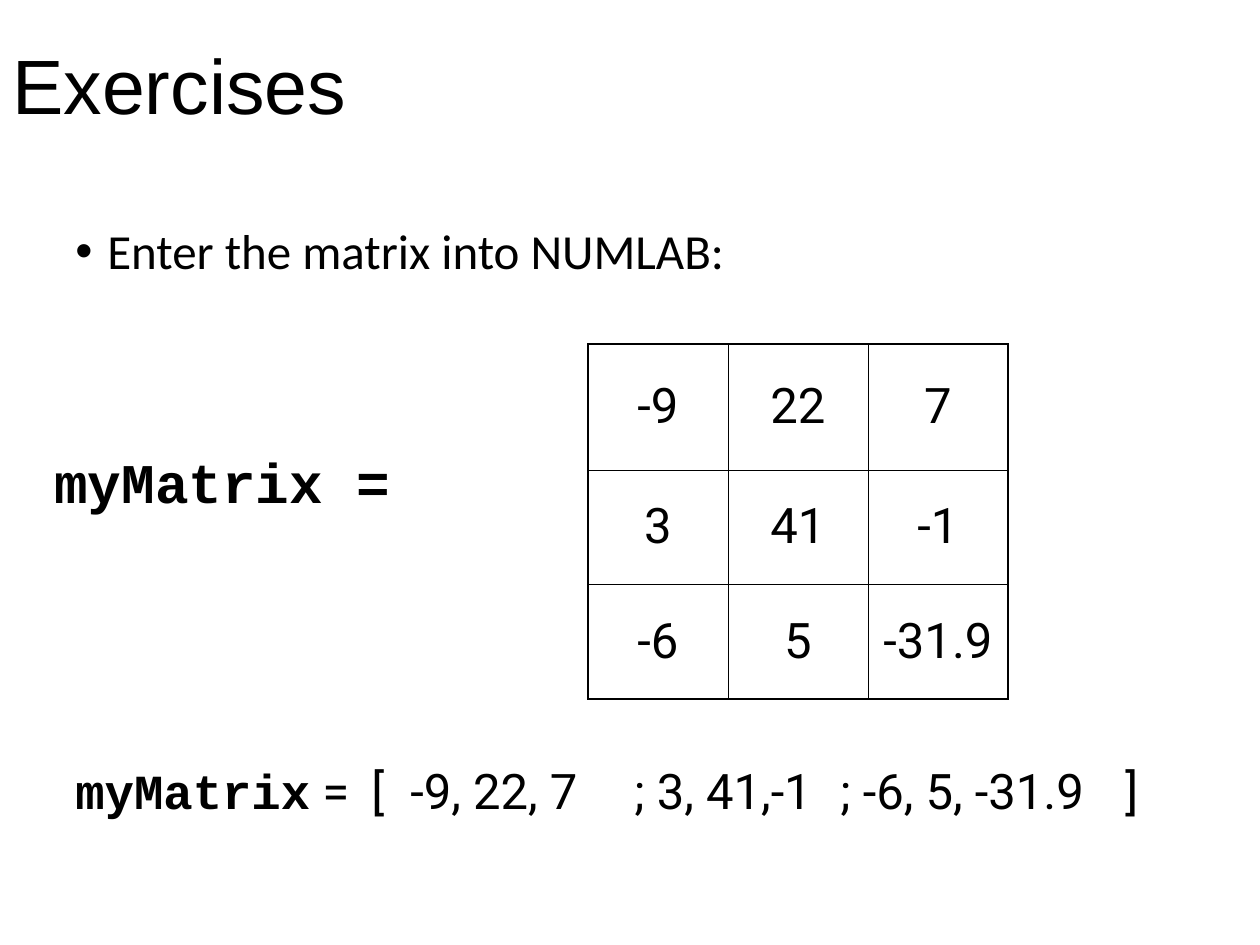
import pptx
import pptx.dml.color
import pptx.enum.text
import pptx.oxml
import pptx.oxml.ns
import pptx.util

PX = 914400 // 126
COLORS = {"ink": "000000"}
THICK, THIN = 1.08, 0.45

TITLE, BODY, CODE, NUMBERS = "Arial", "Calibri", "Courier New", "Roboto"
MIDDLE = pptx.enum.text.MSO_ANCHOR.MIDDLE
TOP = pptx.enum.text.MSO_ANCHOR.TOP

# (left, top, width, height), wrap, anchor, line spacing, [(text, font, size, bold)]
HEADING = ((0, 11, 1250, 158), True, MIDDLE, 0.9, [("Exercises", TITLE, 44, False)])
TASK = ((63, 221, 1134, 116), True, TOP, 0.9,
        [("Enter the matrix into NUMLAB:", BODY, 28, False)])
LABEL = ((42, 441, 546, 81), True, TOP, 1, [("myMatrix =", CODE, 32, True)])
ASSIGNMENT = ((63, 754, 547, 72), True, TOP, 1,
              [("myMatrix", CODE, 28, True), (" =\t[\t-9, 22, 7", NUMBERS, 28, False)])
ASSIGNMENT_TABS = [296, 335]
# left, width, text
REMAINING_ROWS = [(622, 218, "; 3, 41,-1"), (828, 287, "; -6, 5, -31.9"), (1113, 42, "]")]

MATRIX = [["-9", "22", "7"], ["3", "41", "-1"], ["-6", "5", "-31.9"]]
MATRIX_LEFT, MATRIX_TOP = 588, 344
COLUMN_WIDTH = 140
ROW_HEIGHTS = [126, 114, 115]


def px(length):
    return pptx.util.Emu(length * PX)


def style(span, font, size, bold=False):
    span.font.name = font
    span.font.size = pptx.util.Pt(size)
    span.font.bold = bold
    span.font.color.rgb = pptx.dml.color.RGBColor.from_string(COLORS["ink"])


def add_text(page, place, wrap, anchor, spacing, spans):
    box = page.shapes.add_textbox(*map(px, place))
    box.text_frame.word_wrap = wrap
    box.text_frame.vertical_anchor = anchor
    para = box.text_frame.paragraphs[0]
    para.line_spacing = spacing
    for text, font, size, bold in spans:
        span = para.add_run()
        span.text = text
        style(span, font, size, bold)
    return para


def add_child(parent, tag, **attributes):
    child = pptx.oxml.parse_xml(f"<a:{tag} {pptx.oxml.ns.nsdecls('a')}/>")
    for name, value in attributes.items():
        child.set(name, str(value))
    parent.append(child)
    return child


def add_bullet(para, indent):
    properties = para._p.get_or_add_pPr()
    properties.set("marL", str(px(indent)))
    properties.set("indent", str(-px(indent)))
    add_child(properties, "buFont", typeface="Arial")
    add_child(properties, "buChar", char="•")


def add_tabs(para, stops):
    tabs = add_child(para._p.get_or_add_pPr(), "tabLst")
    for stop in stops:
        add_child(tabs, "tab", pos=px(stop), algn="l")


def set_borders(cell, widths):
    """Draw the cell's sides; this goes before the fill, as the schema orders them."""
    properties = cell._tc.get_or_add_tcPr()
    for side, width in widths.items():
        line = add_child(properties, side, w=pptx.util.Pt(width))
        add_child(add_child(line, "solidFill"), "srgbClr", val=COLORS["ink"])


def add_matrix(page):
    rows, columns = len(MATRIX), len(MATRIX[0])
    frame = page.shapes.add_table(rows, columns, px(MATRIX_LEFT), px(MATRIX_TOP),
                                  px(COLUMN_WIDTH * columns), px(sum(ROW_HEIGHTS)))
    table = frame.table
    table.first_row = table.horz_banding = False
    for column in table.columns:
        column.width = px(COLUMN_WIDTH)
    for r, values in enumerate(MATRIX):
        table.rows[r].height = px(ROW_HEIGHTS[r])
        for c, value in enumerate(values):
            cell = table.cell(r, c)
            cell.vertical_anchor = MIDDLE
            set_borders(cell, {
                "lnL": THICK if c == 0 else THIN,
                "lnR": THICK if c == columns - 1 else THIN,
                "lnT": THICK if r == 0 else THIN,
                "lnB": THICK if r == rows - 1 else THIN,
            })
            cell.fill.background()
            para = cell.text_frame.paragraphs[0]
            para.text = value
            para.alignment = pptx.enum.text.PP_ALIGN.CENTER
            style(para.runs[0], NUMBERS, 28)


def main():
    deck = pptx.Presentation()
    deck.slide_width, deck.slide_height = px(1260), px(945)
    page = deck.slides.add_slide(deck.slide_layouts[6])

    add_text(page, *HEADING)
    add_bullet(add_text(page, *TASK), 32)
    add_tabs(add_text(page, *ASSIGNMENT), ASSIGNMENT_TABS)
    _, top, _, height = ASSIGNMENT[0]
    for left, width, text in REMAINING_ROWS:
        add_text(page, (left, top, width, height), False, TOP, 1,
                 [(text, NUMBERS, 28, False)])
    add_text(page, *LABEL)
    add_matrix(page)
    deck.save("out.pptx")


if __name__ == "__main__":
    main()
